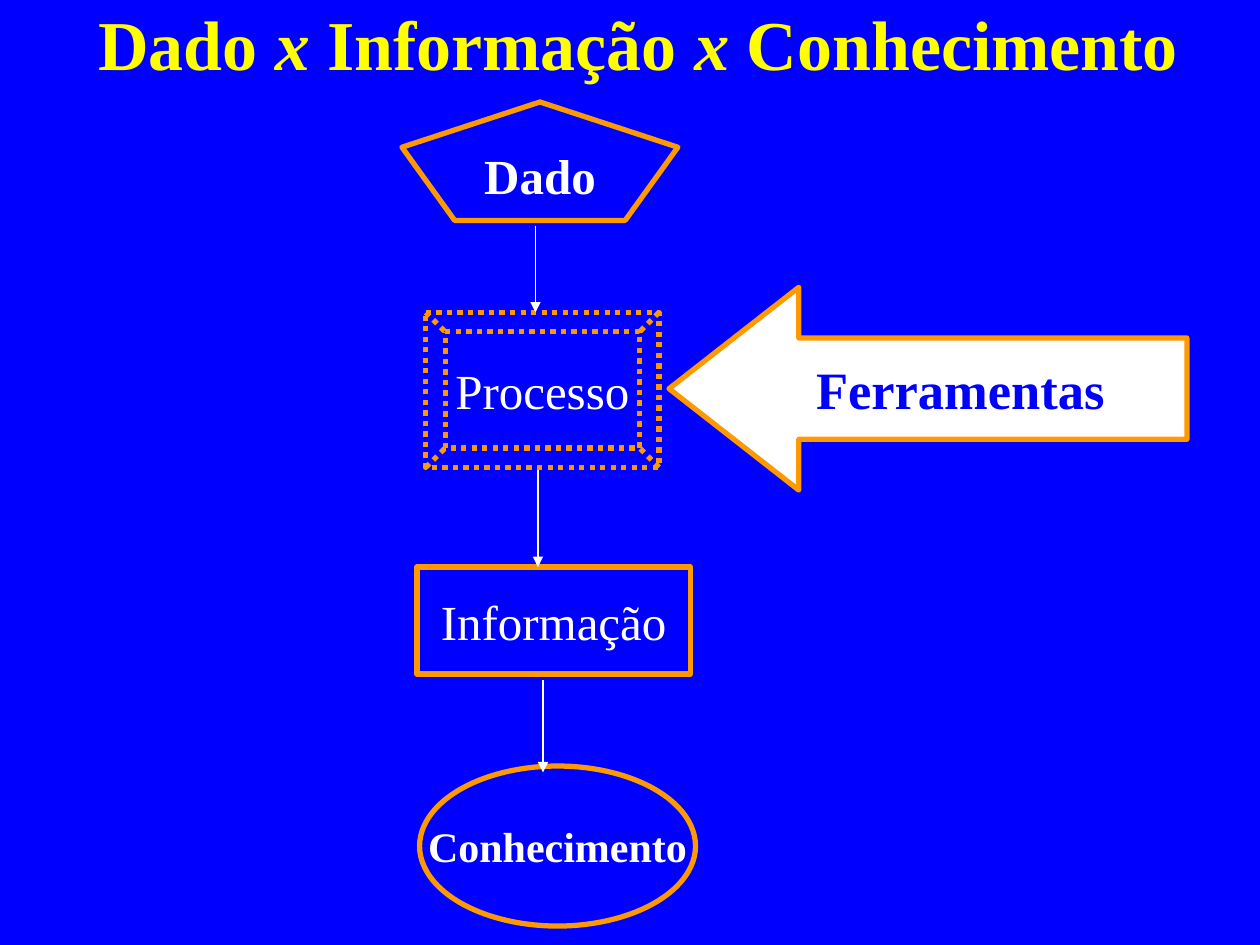
from dataclasses import dataclass

from pptx import Presentation
from pptx.dml.color import RGBColor
from pptx.enum.dml import MSO_LINE as Dash
from pptx.enum.shapes import MSO_CONNECTOR as Connector, MSO_SHAPE as Shape
from pptx.enum.text import MSO_ANCHOR as Anchor, MSO_AUTO_SIZE as AutoSize, PP_ALIGN as Align
from pptx.oxml.ns import qn
from pptx.util import Inches, Pt


@dataclass(frozen=True)
class Theme:
    font: str = "Times New Roman"
    blue: RGBColor = RGBColor(0, 0, 255)
    white: RGBColor = RGBColor(255, 255, 255)
    yellow: RGBColor = RGBColor(255, 255, 0)
    orange: RGBColor = RGBColor(255, 153, 0)
    title: int = 40
    tools: int = 30
    label: int = 28
    small: int = 24
    outline: int = 3
    arrow: float = 0.75


THEME = Theme()


def style_paragraph(para, size, color, bold):
    para.alignment = Align.CENTER
    para.font.name = THEME.font
    para.font.size = Pt(size)
    para.font.color.rgb = color
    para.font.bold = bold


def set_title(page, pieces):
    title = page.shapes.title
    title.left, title.top = Inches(0.2), Inches(-0.21)
    title.width, title.height = Inches(9.73), Inches(1.1)
    frame = title.text_frame
    frame.auto_size = AutoSize.NONE
    frame.vertical_anchor = Anchor.MIDDLE
    para = frame.paragraphs[0]
    for text, italic in pieces:
        span = para.add_run()
        span.text = text
        span.font.italic = italic
    style_paragraph(para, THEME.title, THEME.yellow, True)


def add_node(page, kind, place, text, size=THEME.label, bold=False,
             color=THEME.white, fill=None, dash=None):
    box = page.shapes.add_shape(kind, *map(Inches, place))
    box.shadow.inherit = False
    if fill is None:
        box.fill.background()
    else:
        box.fill.solid()
        box.fill.fore_color.rgb = fill
    box.line.color.rgb = THEME.orange
    box.line.width = Pt(THEME.outline)
    if dash is not None:
        box.line.dash_style = dash
    frame = box.text_frame
    frame.word_wrap = False
    frame.vertical_anchor = Anchor.MIDDLE
    para = frame.paragraphs[0]
    para.text = text
    style_paragraph(para, size, color, bold)
    return box


def add_down_arrow(page, x, top, bottom):
    arrow = page.shapes.add_connector(
        Connector.STRAIGHT, Inches(x), Inches(top), Inches(x), Inches(bottom))
    arrow.line.color.rgb = THEME.white
    arrow.line.width = Pt(THEME.arrow)
    properties = arrow.line._get_or_add_ln()
    head = properties.makeelement(qn("a:tailEnd"), {"type": "triangle"})
    properties.append(head)
    effects = properties.makeelement(qn("a:effectLst"), {})
    properties.addnext(effects)


def main():
    deck = Presentation()
    deck.slide_width, deck.slide_height = Inches(10), Inches(7.5)
    page = deck.slides.add_slide(deck.slide_layouts[5])
    page.background.fill.solid()
    page.background.fill.fore_color.rgb = THEME.blue

    set_title(page, [("Dado ", False), ("x", True), (" Informação ", False),
                     ("x", True), (" Conhecimento", False)])

    tools = add_node(page, Shape.LEFT_ARROW, (5.31, 2.28, 4.11, 1.61), "Ferramentas",
                     THEME.tools, True, THEME.blue, THEME.white)
    tools.adjustments[1] = 0.64
    add_node(page, Shape.BEVEL, (3.38, 2.48, 1.85, 1.23), "Processo", dash=Dash.ROUND_DOT)
    add_node(page, Shape.RECTANGLE, (3.31, 4.5, 2.17, 0.85), "Informação")
    add_node(page, Shape.OVAL, (3.33, 6.08, 2.19, 1.27), "Conhecimento", THEME.small, True)
    add_node(page, Shape.REGULAR_PENTAGON, (3.19, 0.81, 2.19, 0.94), "Dado", bold=True)

    for x, top, bottom in [(4.25, 1.79, 2.48), (4.27, 3.73, 4.5), (4.31, 5.4, 6.13)]:
        add_down_arrow(page, x, top, bottom)

    deck.save("out.pptx")


if __name__ == "__main__":
    main()
